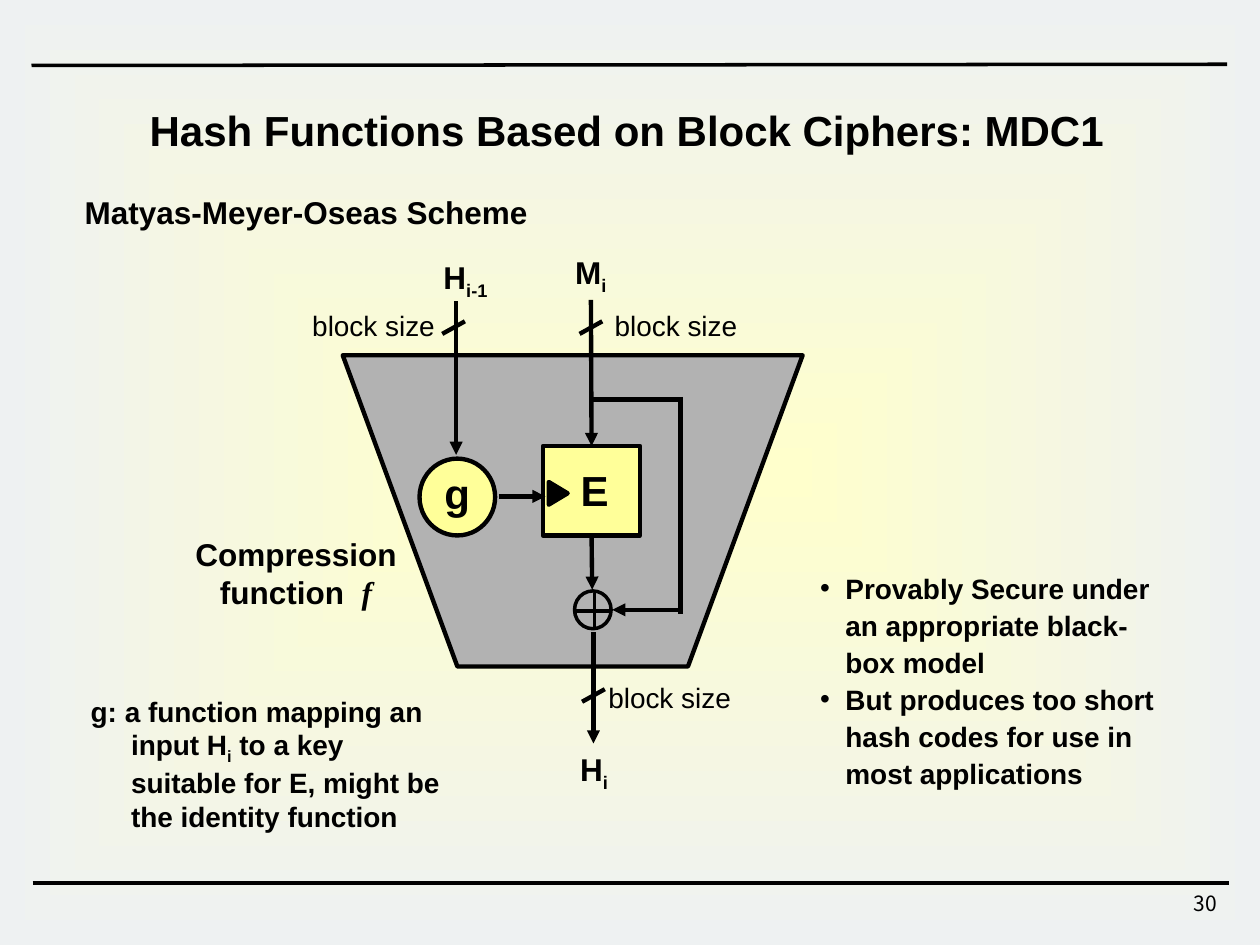
from lxml import etree
from pptx import Presentation
from pptx.dml.color import RGBColor
from pptx.enum.shapes import MSO_CONNECTOR, MSO_SHAPE
from pptx.enum.text import MSO_ANCHOR, MSO_AUTO_SIZE, PP_ALIGN
from pptx.oxml.ns import qn
from pptx.util import Inches, Pt

COLORS = {"ink": "000000", "node": "FFFF99", "body": "B2B2B2",
          "center": "FFFFCC", "edge": "EEF1F2"}

TITLE = "Hash Functions Based on Block Ciphers: MDC1"
REMARKS = ["Provably Secure under an appropriate black-box model",
           "But produces too short hash codes for use in most applications"]
SUB, ITALIC = "subscript", "italic"

# Bold labels: box, size, paragraphs of (text, style) runs
LABELS = [
    ((1.19, 1.53, 2.48, 0.6), 18, [[("Matyas-Meyer-Oseas Scheme", None)]]),
    ((1.55, 4.25, 1.6, 0.6), 18, [[("Compression", None)],
                                  [("function  ", None), ("f", ITALIC)]]),
    ((4.61, 3.69, 0.22, 0.4), 24, [[("E", None)]]),
    ((3.53, 3.71, 0.2, 0.4), 24, [[("g", None)]]),
    ((4.6, 5.95, 0.23, 0.3), 18, [[("H", None), ("i", SUB)]]),
    ((4.56, 2.01, 0.26, 0.3), 18, [[("M", None), ("i", SUB)]]),
    ((3.43, 2.05, 0.53, 0.3), 18, [[("H", None), ("i-1", SUB)]]),
]
NOTE = [[("g: a function mapping an input H", None), ("i", SUB),
         (" to a key suitable for E, might be the identity function", None)]]

# Block size marks: centre of the tick, left and top of the label
BLOCK_SIZES = [((3.6, 2.6), (2.48, 2.45)),
               ((4.69, 2.6), (4.88, 2.45)),
               ((4.71, 5.52), (4.83, 5.4))]
TICK_WIDTH, TICK_HEIGHT = 0.18, 0.1

TRAPEZOID = [(2.72, 2.82), (3.63, 5.29), (5.46, 5.29), (6.37, 2.82)]
RULES = [((0.25, 0.52), (9.74, 0.51)), ((0.26, 7.01), (9.75, 7.01))]
XOR_CROSS = [((4.56, 4.85), (4.85, 4.85)), ((4.72, 4.71), (4.72, 5))]
FEED_FORWARD = [((4.69, 3.17), (5.4, 3.17)), ((5.4, 3.15), (5.4, 4.87))]
ARROWS = [((4.71, 5.02), (4.71, 5.9)),      # XOR to output
          ((3.96, 3.94), (4.33, 3.94)),     # g to E
          ((5.4, 4.84), (4.86, 4.84)),      # feed-forward to XOR
          ((3.62, 2.39), (3.62, 3.61))]     # chaining value to g


def color(name):
    return RGBColor.from_string(COLORS[name])


def set_font(font, size, name="Arial", bold=True):
    font.size, font.name, font.bold = Pt(size), name, bold
    font.color.rgb = color("ink")


def prepare_frame(frame, wrap=True):
    frame.margin_left = frame.margin_right = 0
    frame.margin_top = frame.margin_bottom = 0
    frame.word_wrap = wrap
    frame.auto_size = MSO_AUTO_SIZE.NONE
    frame.vertical_anchor = MSO_ANCHOR.TOP


def place(shape, *box):
    shape.left, shape.top, shape.width, shape.height = map(Inches, box)


def add_label(slide, box, size, paragraphs, align=PP_ALIGN.CENTER,
              bold=True, wrap=False, font="Arial"):
    frame = slide.shapes.add_textbox(*map(Inches, box)).text_frame
    prepare_frame(frame, wrap)
    for index, runs in enumerate(paragraphs):
        paragraph = frame.paragraphs[0] if index == 0 else frame.add_paragraph()
        paragraph.alignment = align
        for text, style in runs:
            run = paragraph.add_run()
            run.text = text
            set_font(run.font, size, font, bold)
            if style == SUB:
                run._r.get_or_add_rPr().set("baseline", "-25000")
            elif style == ITALIC:
                run.font.name, run.font.italic = "Times New Roman", True
    return frame


def set_hanging(paragraph, indent):
    properties = paragraph._p.get_or_add_pPr()
    properties.set("marL", str(Inches(indent)))
    properties.set("indent", str(-Inches(indent)))


def style_shape(shape, fill=None, width=2.5):
    shape.shadow.inherit = False
    if fill:
        shape.fill.solid()
        shape.fill.fore_color.rgb = color(fill)
    else:
        shape.fill.background()
    shape.line.color.rgb = color("ink")
    shape.line.width = Pt(width)
    return shape


def add_node(slide, kind, box, fill=None, width=2.5):
    return style_shape(slide.shapes.add_shape(kind, *map(Inches, box)), fill, width)


def add_line(slide, start, end, width=2.5, arrow=False):
    line = slide.shapes.add_connector(
        MSO_CONNECTOR.STRAIGHT, *map(Inches, (*start, *end)))
    line.line.color.rgb = color("ink")
    line.line.width = Pt(width)
    if arrow:
        etree.SubElement(line.line._get_or_add_ln(), qn("a:tailEnd"), type="triangle")
    etree.SubElement(line._element.spPr, qn("a:effectLst"))
    return line


def set_background(slide):
    fill = slide.background.fill
    fill.gradient()
    for stop, name, position in zip(fill.gradient_stops, ("center", "edge"), (0, 1)):
        stop.color.rgb = color(name)
        stop.position = position
    linear = slide.element.find(".//" + qn("a:lin"))
    radial = etree.Element(qn("a:path"), path="shape")
    etree.SubElement(radial, qn("a:fillToRect"),
                     l="50000", t="50000", r="50000", b="50000")
    linear.getparent().replace(linear, radial)


def add_placeholders(slide):
    title, body = slide.shapes.title, slide.placeholders[1]
    place(title, 1.09, 0.78, 7.77, 0.5)
    prepare_frame(title.text_frame, wrap=False)
    title.text_frame.vertical_anchor = MSO_ANCHOR.MIDDLE
    run = title.text_frame.paragraphs[0].add_run()
    run.text = TITLE
    set_font(run.font, 24)

    place(body, 6.51, 4.51, 2.81, 1.76)
    frame = body.text_frame
    prepare_frame(frame)
    for index, text in enumerate(REMARKS):
        paragraph = frame.paragraphs[0] if index == 0 else frame.add_paragraph()
        set_hanging(paragraph, 0.2)
        paragraph.line_spacing, paragraph.space_before = 1.1, Pt(0)
        etree.SubElement(paragraph._p.get_or_add_pPr(), qn("a:buChar"), char="•")
        run = paragraph.add_run()
        run.text = text
        set_font(run.font, 16)


def add_diagram(slide):
    # Compression function body
    corners = [tuple(map(Inches, corner)) for corner in TRAPEZOID]
    builder = slide.shapes.build_freeform(*corners[0])
    builder.add_line_segments(corners[1:], close=True)
    style_shape(builder.convert_to_shape(), "body")

    # Cipher E with its key mark, function g and XOR
    cipher = add_node(slide, MSO_SHAPE.RECTANGLE, (4.31, 3.54, 0.77, 0.71), "node")
    add_node(slide, MSO_SHAPE.OVAL, (3.33, 3.64, 0.6, 0.61), "node")
    add_node(slide, MSO_SHAPE.OVAL, (4.56, 4.69, 0.29, 0.3), width=2)
    key_mark = add_node(slide, MSO_SHAPE.ISOSCELES_TRIANGLE,
                        (4.34, 3.84, 0.18, 0.15), "ink")
    key_mark.rotation = 90

    # Lines and arrows
    for start, end in XOR_CROSS:
        add_line(slide, start, end, 2)
    for start, end in FEED_FORWARD:
        add_line(slide, start, end)
    for start, end in ARROWS:
        add_line(slide, start, end, arrow=True)
    add_line(slide, (4.69, 2.38), (4.69, 3.54), arrow=True).end_connect(cipher, 0)
    add_line(slide, (4.7, 4.25), (4.7, 4.68), arrow=True).begin_connect(cipher, 2)

    # Block size ticks and labels
    for (x, y), corner in BLOCK_SIZES:
        add_line(slide, (x + TICK_WIDTH / 2, y - TICK_HEIGHT / 2),
                 (x - TICK_WIDTH / 2, y + TICK_HEIGHT / 2))
        add_label(slide, (*corner, 0.97, 0.27), 16, [[("block size", None)]], bold=False)


def main():
    presentation = Presentation()
    presentation.slide_width, presentation.slide_height = Inches(10), Inches(7.5)
    slide = presentation.slides.add_slide(presentation.slide_layouts[1])
    set_background(slide)
    for start, end in RULES:
        add_line(slide, start, end, 2)
    add_placeholders(slide)
    add_diagram(slide)
    for box, size, paragraphs in LABELS:
        add_label(slide, box, size, paragraphs)
    note = add_label(slide, (0.72, 5.51, 2.81, 1.07), 16, NOTE, PP_ALIGN.LEFT, wrap=True)
    set_hanging(note.paragraphs[0], 0.32)
    # Slide number
    add_label(slide, (7.68, 7.07, 1.98, 0.23), 12, [[("30", None)]], PP_ALIGN.RIGHT,
              bold=False, wrap=True, font="Noto Sans CJK KR")
    presentation.save("out.pptx")


if __name__ == "__main__":
    main()
